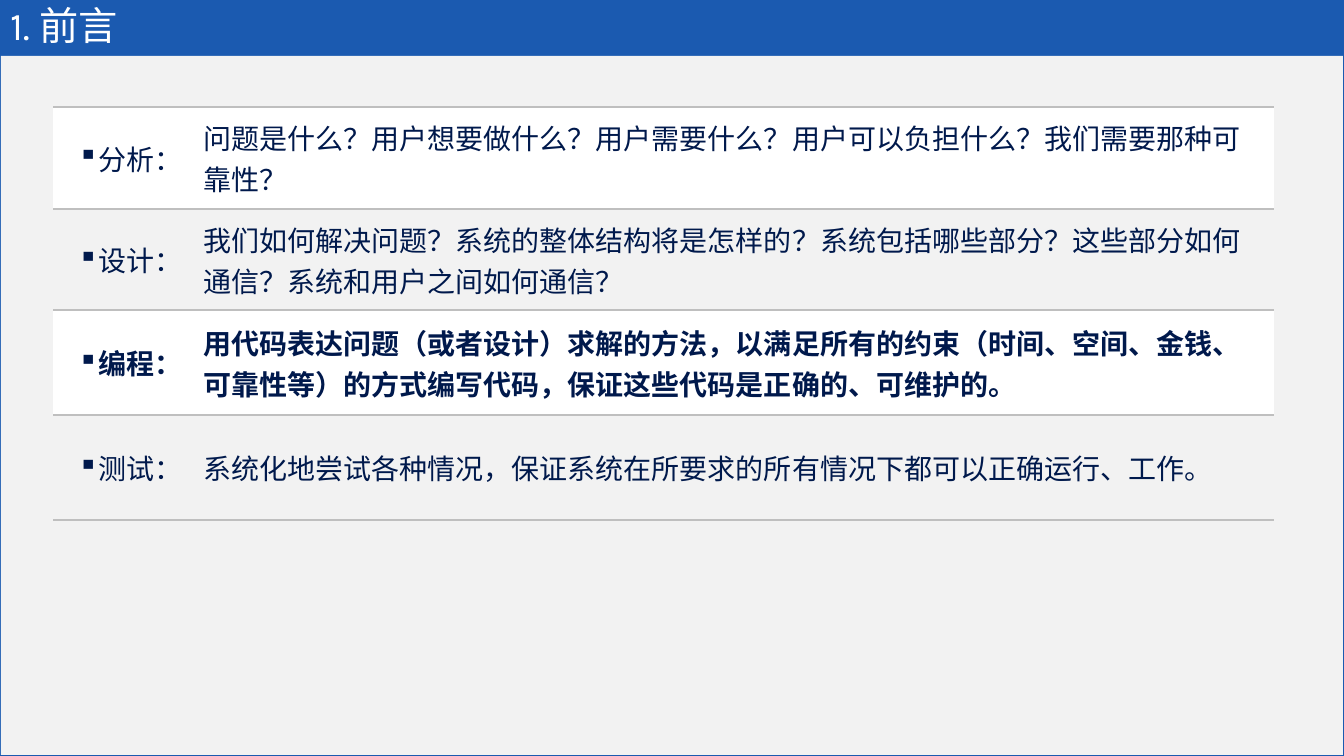
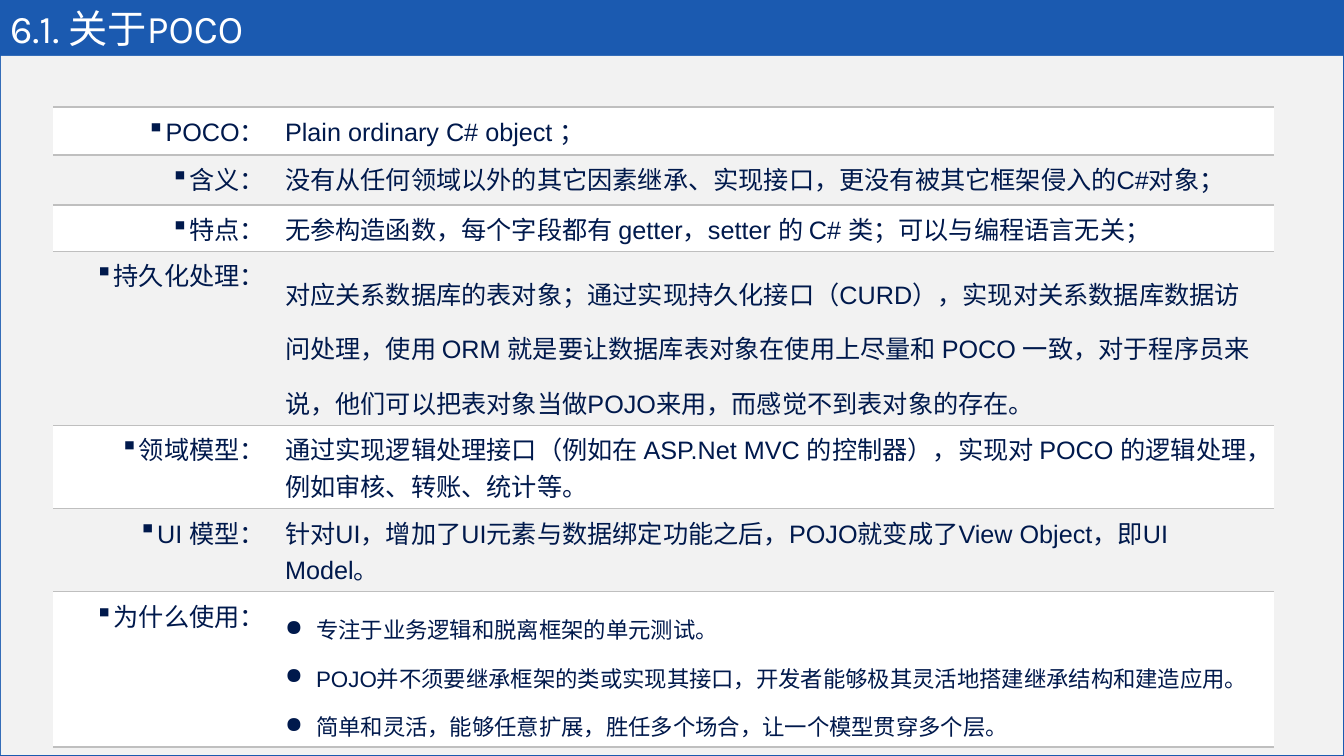
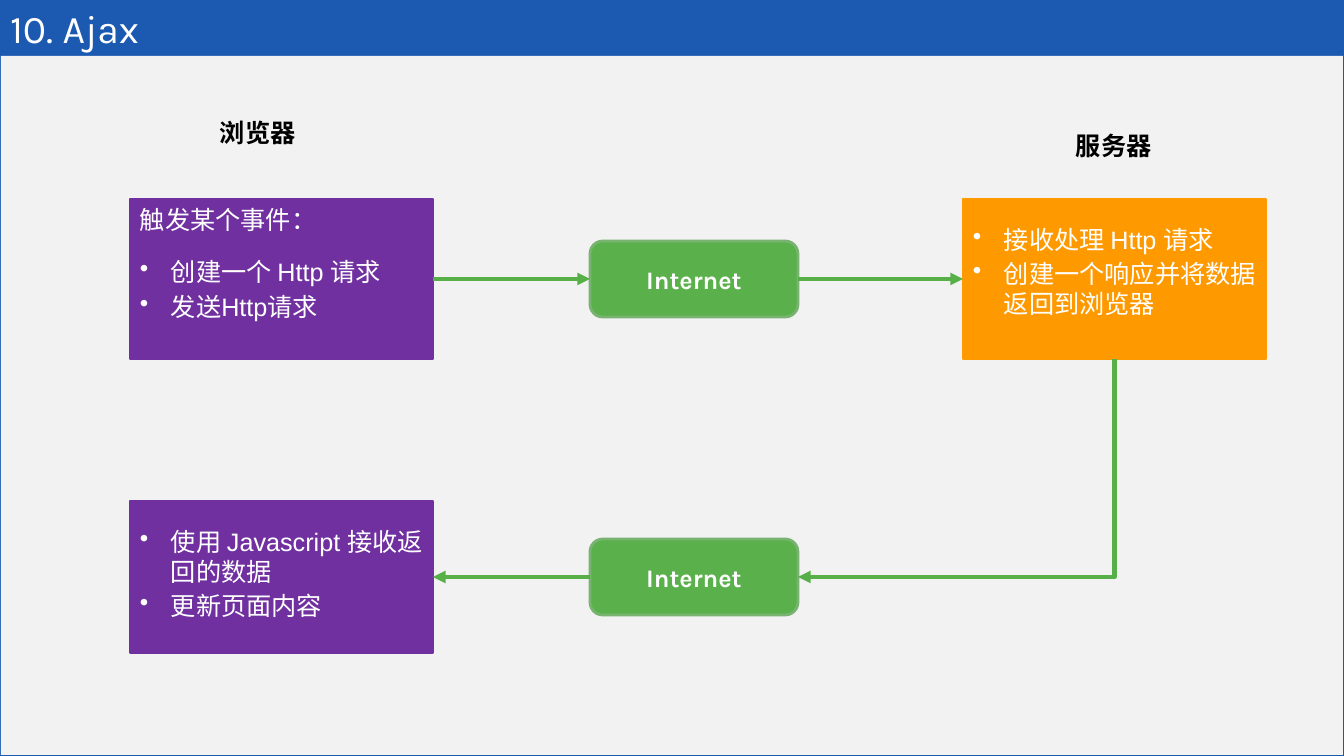
from dataclasses import dataclass

from lxml.etree import SubElement
from pptx import Presentation
from pptx.dml.color import RGBColor
from pptx.enum.lang import MSO_LANGUAGE_ID
from pptx.enum.shapes import MSO_CONNECTOR, MSO_SHAPE
from pptx.enum.text import MSO_ANCHOR, MSO_AUTO_SIZE, PP_ALIGN
from pptx.oxml.ns import qn
from pptx.util import Emu, Pt

COLORS = {
    "band": "1B5AB0",
    "panel": "F2F2F2",
    "white": "FFFFFF",
    "black": "000000",
    "ink": "00194C",
    "rule": "BFBFBF",
    "browser": "7030A0",
    "server": "FF9900",
    "internet": "5AB14B",
    "internet_edge": "79B372",
    "arrow": "56B047",
}
HEADING_FONT, BODY_FONT = "Karla", "Arial"
HANGING = 31
TOP, LEFT, BOTTOM, RIGHT = range(4)  # connection sites


@dataclass(frozen=True)
class Para:
    text: str
    size: int = 18
    color: str = "white"
    font: str = BODY_FONT
    bold: bool = False
    align: PP_ALIGN = PP_ALIGN.LEFT
    bullet: str = ""
    hanging: int = 0
    before: int = 0
    line_spacing: float = 1.0


@dataclass(frozen=True)
class Row:
    height: int
    term: str
    details: tuple[str, ...]
    bold: bool = False
    line_spacing: float = 1.0


@dataclass(frozen=True)
class Box:
    left: int
    top: int
    width: int
    height: int
    fill: str
    edge: str
    paras: tuple[Para, ...]
    preset: MSO_SHAPE = MSO_SHAPE.RECTANGLE
    anchor: MSO_ANCHOR = MSO_ANCHOR.TOP
    margin_top: int = 5


def px(count: int) -> Emu:
    return Emu(round(count * 914400 / 100.8))


def rgb(name: str) -> RGBColor:
    return RGBColor.from_string(COLORS[name])


def write(frame, paras) -> None:
    for index, para in enumerate(paras):
        target = frame.paragraphs[0] if index == 0 else frame.add_paragraph()
        target.text = para.text
        target.alignment = para.align
        props = target._p.get_or_add_pPr()
        props.set("marL", str(px(para.hanging)))
        props.set("indent", str(-px(para.hanging)))
        if para.bullet:
            SubElement(props, qn("a:buChar")).set("char", para.bullet)
        if index:
            target.space_before = Pt(para.before)
        if para.line_spacing != 1:
            target.line_spacing = para.line_spacing
        font = target.font
        font.name, font.size, font.bold = para.font, Pt(para.size), para.bold
        font.color.rgb = rgb(para.color)
        font.language_id = MSO_LANGUAGE_ID.SIMPLIFIED_CHINESE


# Shared look: blue background and a pale panel on the layout
def style_layout(prs, first_slide) -> None:
    background = prs.slide_master.background.fill
    background.solid()
    background.fore_color.rgb = rgb("band")
    panel = first_slide.shapes.add_shape(
        MSO_SHAPE.RECTANGLE, px(1), px(56), px(1342), px(699))
    panel.shadow.inherit = False
    panel.fill.solid()
    panel.fill.fore_color.rgb = rgb("panel")
    panel.line.fill.background()
    first_slide.slide_layout.shapes.element.append(panel.element)


def set_title(slide, text: str, height: int = 54) -> None:
    title = slide.shapes.title
    title.left, title.top = px(0), px(1)
    title.width, title.height = px(1344), px(height)
    frame = title.text_frame
    frame.auto_size = MSO_AUTO_SIZE.NONE
    frame.vertical_anchor = MSO_ANCHOR.MIDDLE
    write(frame, [Para(text, size=28, font=HEADING_FONT)])


# Tables of terms
def rule_cell(cell) -> None:
    props = cell._tc.get_or_add_tcPr()
    for side in "LR":
        SubElement(SubElement(props, qn(f"a:ln{side}"), w="0"), qn("a:noFill"))
    for side in "TB":
        line = SubElement(props, qn(f"a:ln{side}"), w=str(Pt(1)))
        fill = SubElement(line, qn("a:solidFill"))
        SubElement(fill, qn("a:srgbClr"), val=COLORS["rule"])


def add_terms(slide, rows: list[Row], widths: tuple[int, int], size: int,
              anchor: MSO_ANCHOR) -> None:
    table = slide.shapes.add_table(
        len(rows), 2, px(53), px(107), px(sum(widths)),
        px(sum(row.height for row in rows))).table
    table.first_row = table.horz_banding = False
    for column, width in zip(table.columns, widths):
        column.width = px(width)
    for index, row in enumerate(rows):
        table.rows[index].height = px(row.height)
        term = Para(row.term, size, "ink", bold=row.bold,
                    align=PP_ALIGN.RIGHT, bullet="▪")
        listed = len(row.details) > 1
        details = [
            Para(text, size - 2 if listed else size, "ink", bold=row.bold,
                 bullet="●" if listed else "",
                 hanging=HANGING if listed else 0,
                 line_spacing=row.line_spacing)
            for text in row.details]
        for cell, paras in zip(table.rows[index].cells, ([term], details)):
            rule_cell(cell)
            if index % 2 == 0:
                cell.fill.solid()
                cell.fill.fore_color.rgb = rgb("white")
            else:
                cell.fill.background()
            cell.vertical_anchor = anchor
            write(cell.text_frame, paras)


# Parts of the request diagram
def add_box(slide, box: Box):
    shape = slide.shapes.add_shape(
        box.preset, px(box.left), px(box.top), px(box.width), px(box.height))
    shape.shadow.inherit = False
    shape.fill.solid()
    shape.fill.fore_color.rgb = rgb(box.fill)
    shape.line.color.rgb = rgb(box.edge)
    shape.line.width = Pt(2)
    frame = shape.text_frame
    frame.word_wrap = True
    frame.vertical_anchor = box.anchor
    frame.margin_top = px(box.margin_top)
    write(frame, box.paras)
    return shape


def internet_box(top: int) -> Box:
    name = Para("Internet", font=HEADING_FONT, bold=True,
                align=PP_ALIGN.CENTER)
    return Box(590, top, 208, 76, "internet", "internet_edge", (name,),
               MSO_SHAPE.ROUNDED_RECTANGLE, MSO_ANCHOR.MIDDLE)


def step(text: str, before: int = 3) -> Para:
    return Para(text, bullet="•", hanging=HANGING, before=before)


def add_arrow(slide, start, start_site: int, end, end_site: int):
    arrow = slide.shapes.add_connector(MSO_CONNECTOR.STRAIGHT, 0, 0, 0, 0)
    arrow.begin_connect(start, start_site)
    arrow.end_connect(end, end_site)
    arrow.line.color.rgb = rgb("arrow")
    arrow.line.width = Pt(3)
    SubElement(arrow.line._get_or_add_ln(), qn("a:tailEnd"), type="triangle")
    SubElement(arrow.element.spPr, qn("a:effectLst"))
    return arrow


def bend_down_left(arrow) -> None:
    """Turn a straight arrow into one that runs down, then left."""
    x1, y1, x2, y2 = arrow.begin_x, arrow.begin_y, arrow.end_x, arrow.end_y
    across, down = x1 - x2, y2 - y1
    props = arrow.element.spPr
    props.find(qn("a:prstGeom")).set("prst", "bentConnector2")
    frame = props.find(qn("a:xfrm"))
    frame.attrib.pop("flipH", None)
    frame.attrib.pop("flipV", None)
    frame.set("rot", str(90 * 60000))
    arrow.left = Emu((x1 + x2 - down) // 2)
    arrow.top = Emu((y1 + y2 - across) // 2)
    arrow.width, arrow.height = Emu(down), Emu(across)


def add_label(slide, left: int, top: int, text: str) -> None:
    label = slide.shapes.add_textbox(px(left), px(top), px(97), px(40))
    frame = label.text_frame
    frame.word_wrap = False
    frame.auto_size = MSO_AUTO_SIZE.SHAPE_TO_FIT_TEXT
    write(frame, [Para(text, color="black", bold=True)])


PHASES = [
    Row(102, "分析：", ("问题是什么？用户想要做什么？用户需要什么？用户可以负担什么？"
                     "我们需要那种可靠性？",)),
    Row(101, "设计：", ("我们如何解决问题？系统的整体结构将是怎样的？系统包括哪些部分？"
                     "这些部分如何通信？系统和用户之间如何通信？",)),
    Row(105, "编程：", ("用代码表达问题（或者设计）求解的方法，以满足所有的约束"
                     "（时间、空间、金钱、可靠性等）的方式编写代码，"
                     "保证这些代码是正确的、可维护的。",), bold=True),
    Row(105, "测试：", ("系统化地尝试各种情况，保证系统在所要求的所有情况下都可以"
                     "正确运行、工作。",)),
]

POCO_TERMS = [
    Row(48, "POCO：", ("Plain ordinary C# object ；",)),
    Row(50, "含义：", ("没有从任何领域以外的其它因素继承、实现接口，"
                    "更没有被其它框架侵入的C#对象；",)),
    Row(46, "特点：", ("无参构造函数，每个字段都有 getter，setter 的 C# 类；"
                    "可以与编程语言无关；",)),
    Row(150, "持久化处理：", ("对应关系数据库的表对象；通过实现持久化接口（CURD），"
                        "实现对关系数据库数据访问处理，使用 ORM 就是要让数据库"
                        "表对象在使用上尽量和 POCO 一致，对于程序员来说，"
                        "他们可以把表对象当做POJO来用，而感觉不到表对象的存在。",),
        line_spacing=1.5),
    Row(82, "领域模型：", ("通过实现逻辑处理接口（例如在 ASP.Net MVC 的控制器），"
                      "实现对 POCO 的逻辑处理，例如审核、转账、统计等。",)),
    Row(74, "UI 模型：", ("针对UI，增加了UI元素与数据绑定功能之后，"
                       "POJO就变成了View Object，即UI Model。",)),
    Row(142, "为什么使用：", (
        "专注于业务逻辑和脱离框架的单元测试。",
        "POJO并不须要继承框架的类或实现其接口，开发者能够极其灵活地搭建继承结构和建造应用。",
        "简单和灵活，能够任意扩展，胜任多个场合，让一个模型贯穿多个层。"),
        line_spacing=1.5),
]


def build_ajax(slide) -> None:
    request = add_box(slide, Box(130, 199, 303, 160, "browser", "browser", (
        Para("触发某个事件："), step("创建一个 Http 请求", before=16),
        step("发送Http请求"))))
    outbound = add_box(slide, internet_box(241))
    update = add_box(slide, Box(130, 501, 303, 152, "browser", "browser", (
        step("使用 Javascript 接收返回的数据"), step("更新页面内容")),
        margin_top=25))
    server = add_box(slide, Box(963, 199, 303, 160, "server", "server", (
        step("接收处理 Http 请求"), step("创建一个响应并将数据返回到浏览器")),
        margin_top=25))
    inbound = add_box(slide, internet_box(539))

    add_arrow(slide, request, RIGHT, outbound, LEFT)
    add_arrow(slide, outbound, RIGHT, server, LEFT)
    bend_down_left(add_arrow(slide, server, BOTTOM, inbound, RIGHT))
    add_arrow(slide, inbound, LEFT, update, RIGHT)

    add_label(slide, 210, 112, "浏览器")
    add_label(slide, 1066, 125, "服务器")


def main() -> None:
    prs = Presentation()
    prs.slide_width, prs.slide_height = px(1344), px(756)
    layout = prs.slide_layouts[5]
    preface, poco, ajax = (prs.slides.add_slide(layout) for _ in range(3))
    style_layout(prs, preface)

    set_title(preface, "1. 前言", height=48)
    add_terms(preface, PHASES, (140, 1081), 20, MSO_ANCHOR.MIDDLE)

    set_title(poco, "6.1. 关于POCO")
    add_terms(poco, POCO_TERMS, (222, 999), 18, MSO_ANCHOR.TOP)

    set_title(ajax, "10. Ajax")
    build_ajax(ajax)

    prs.save("out.pptx")


if __name__ == "__main__":
    main()
